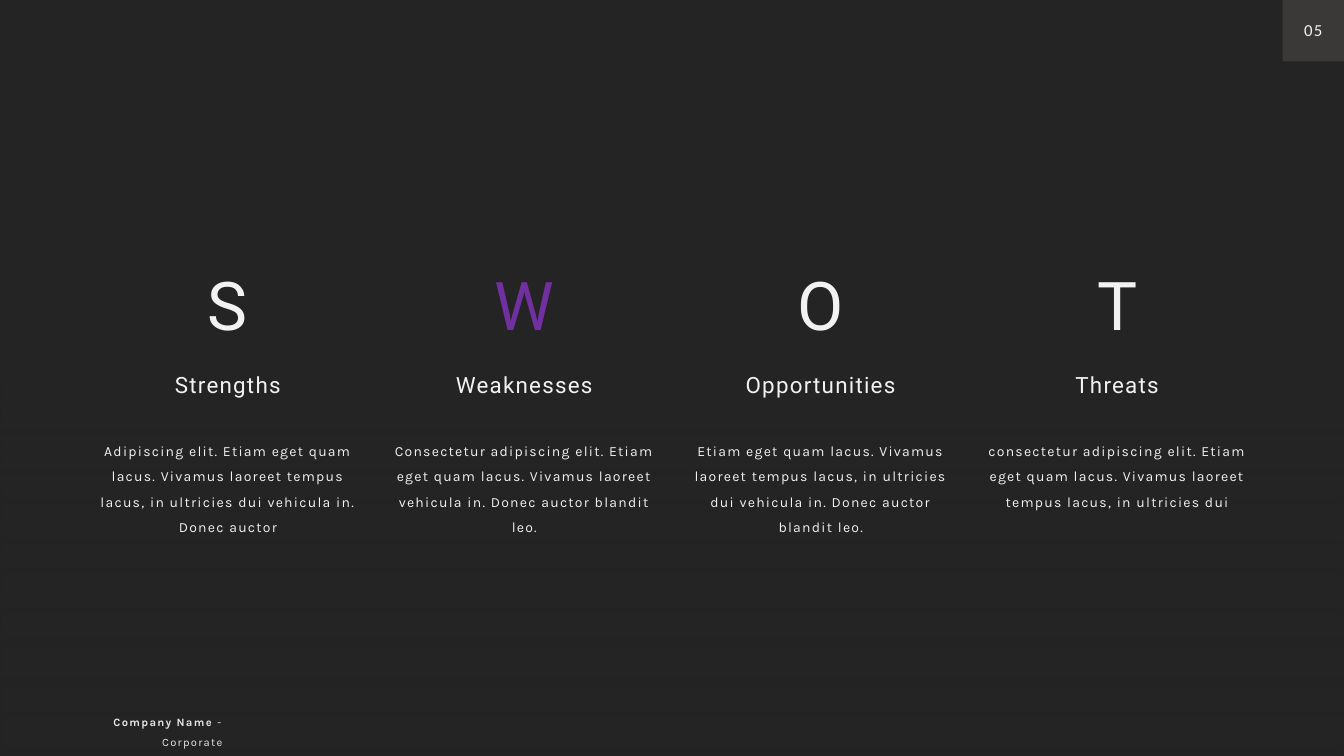
from lxml import etree
from pptx import Presentation
from pptx.dml.color import RGBColor
from pptx.enum.shapes import MSO_SHAPE
from pptx.enum.text import MSO_ANCHOR, MSO_AUTO_SIZE, PP_ALIGN
from pptx.oxml.ns import qn
from pptx.util import Inches, Pt

DARK = RGBColor(0x24, 0x24, 0x24)
TAB = RGBColor(0x3B, 0x38, 0x38)
WHITE = RGBColor(0xF2, 0xF2, 0xF2)
GREY = RGBColor(0xE7, 0xE6, 0xE6)
PURPLE = RGBColor(0x70, 0x30, 0xA0)

W, H = 13.33, 7.5
COL_LEFT, COL_W, PITCH = 0.82, 2.88, 2.94
TAB_SIZE = 0.61

prs = Presentation()
prs.slide_width, prs.slide_height = Inches(W), Inches(H)
s = prs.slides.add_slide(prs.slide_layouts[6])
s.background.fill.solid()
s.background.fill.fore_color.rgb = DARK


def add_rect(x, y, w, h):
    sp = s.shapes.add_shape(MSO_SHAPE.RECTANGLE, Inches(x), Inches(y), Inches(w), Inches(h))
    sp.shadow.inherit = False
    sp.line.fill.background()
    return sp


def add_text(center, y, w, h, runs, size, font, color, wrap=False,
             align=PP_ALIGN.CENTER, spacing=1.5, anchor=MSO_ANCHOR.TOP):
    """Add a letter-spaced paragraph centred on a column; runs are (text, bold) pairs."""
    tf = s.shapes.add_textbox(Inches(center - w / 2), Inches(y), Inches(w), Inches(h)).text_frame
    tf.word_wrap = wrap
    tf.auto_size = MSO_AUTO_SIZE.SHAPE_TO_FIT_TEXT
    tf.vertical_anchor = anchor
    p = tf.paragraphs[0]
    p.alignment, p.line_spacing = align, spacing
    for text, bold in runs:
        r = p.add_run()
        r.text = text
        r.font.size, r.font.name, r.font.bold = Pt(size), font, bold
        r.font.color.rgb = color
        r._r.get_or_add_rPr().set("spc", "90")


# Shade: a rectangle turned a quarter, covering the whole slide
shade = add_rect((W - H) / 2, (H - W) / 2, H, W)
shade.rotation = 90
shade.fill.gradient()
shade.fill.gradient_angle = 0
for stop, position, alpha in zip(shade.fill.gradient_stops, (0.5, 1), (80000, 50000)):
    stop.position = position
    stop.color.rgb = DARK
    for clr in stop._gs.iter(qn("a:srgbClr")):
        etree.SubElement(clr, qn("a:alpha")).set("val", str(alpha))

# Four columns: letter, title, text, with the widths of letter and title
columns = [
    ("S", 0.68, WHITE, "Strengths", 1.49,
     "Adipiscing elit. Etiam eget quam lacus. Vivamus laoreet tempus lacus, "
     "in ultricies dui vehicula in. Donec auctor"),
    ("W", 0.92, PURPLE, "Weaknesses", 1.9,
     "Consectetur adipiscing elit. Etiam eget quam lacus. Vivamus laoreet "
     "vehicula in. Donec auctor blandit leo."),
    ("O", 0.8, WHITE, "Opportunities", 2.03,
     "Etiam eget quam lacus. Vivamus laoreet tempus lacus, in ultricies dui "
     "vehicula in. Donec auctor blandit leo."),
    ("T", 0.66, WHITE, "Threats", 1.24,
     "consectetur adipiscing elit. Etiam eget quam lacus. Vivamus laoreet "
     "tempus lacus, in ultricies dui"),
]
for i, (letter, letter_w, color, title, title_w, body) in enumerate(columns):
    center = COL_LEFT + COL_W / 2 + i * PITCH
    add_text(center, 2.16, letter_w, 1.17, [(letter, False)], 48, "Roboto", color)
    add_text(center, 3.5, title_w, 0.46, [(title, False)], 16, "Roboto", WHITE)
    add_text(center, 4.26, COL_W, 0.83, [(body, False)], 10, "Karla", WHITE, wrap=True)

# Page number tab in the top right corner
tab = add_rect(W - TAB_SIZE, 0, TAB_SIZE, TAB_SIZE)
tab.fill.solid()
tab.fill.fore_color.rgb = TAB
add_text(W - TAB_SIZE / 2, 0.15, 0.4, 0.3, [("05", False)], 12, "Calibri", WHITE,
         spacing=1.0, anchor=MSO_ANCHOR.MIDDLE)

# Footer
add_text(1.39, 6.98, 1.83, 0.28, [("Company Name ", True), ("- Corporate", False)],
         8, "Karla", GREY, wrap=True, align=PP_ALIGN.RIGHT)

prs.save("out.pptx")
